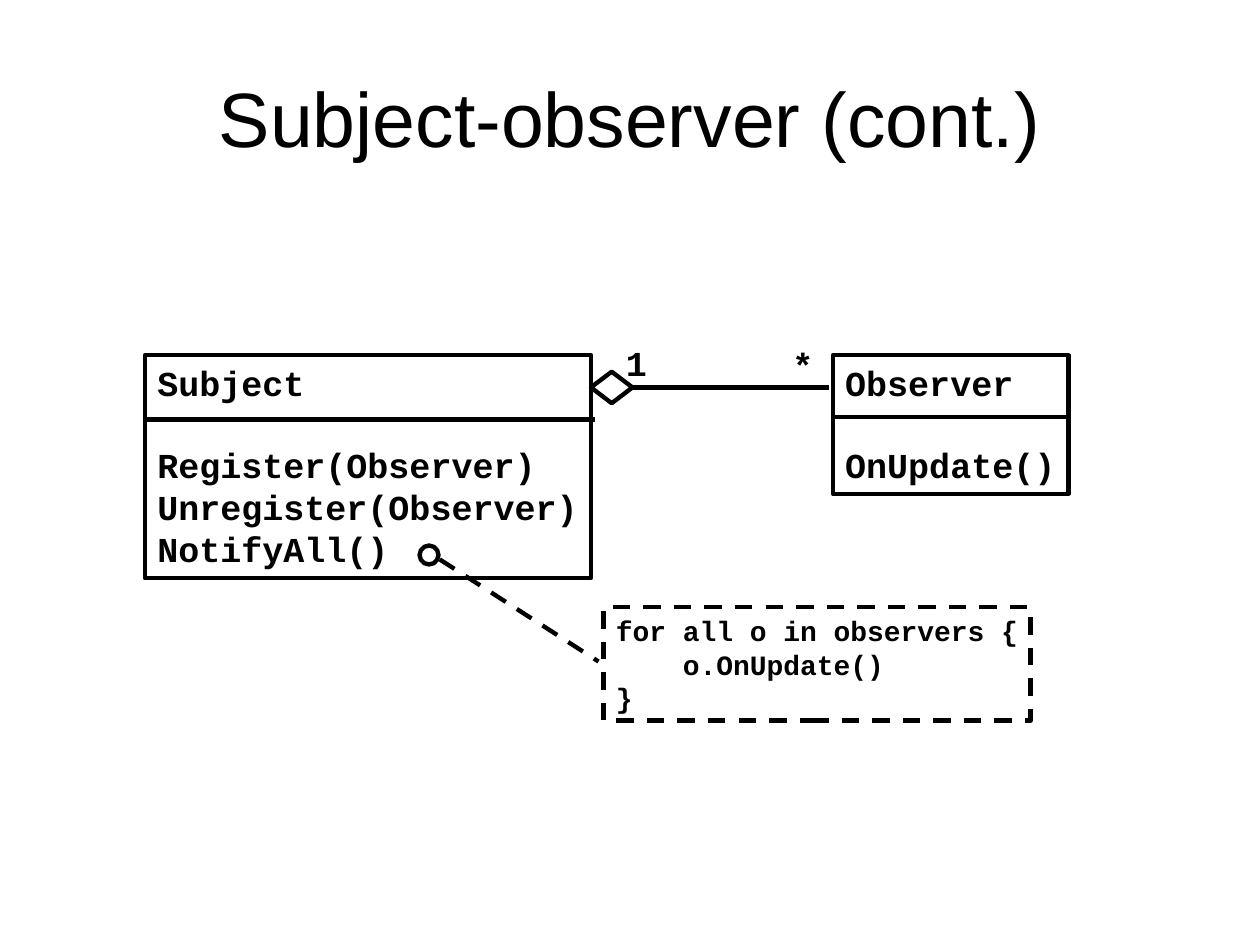
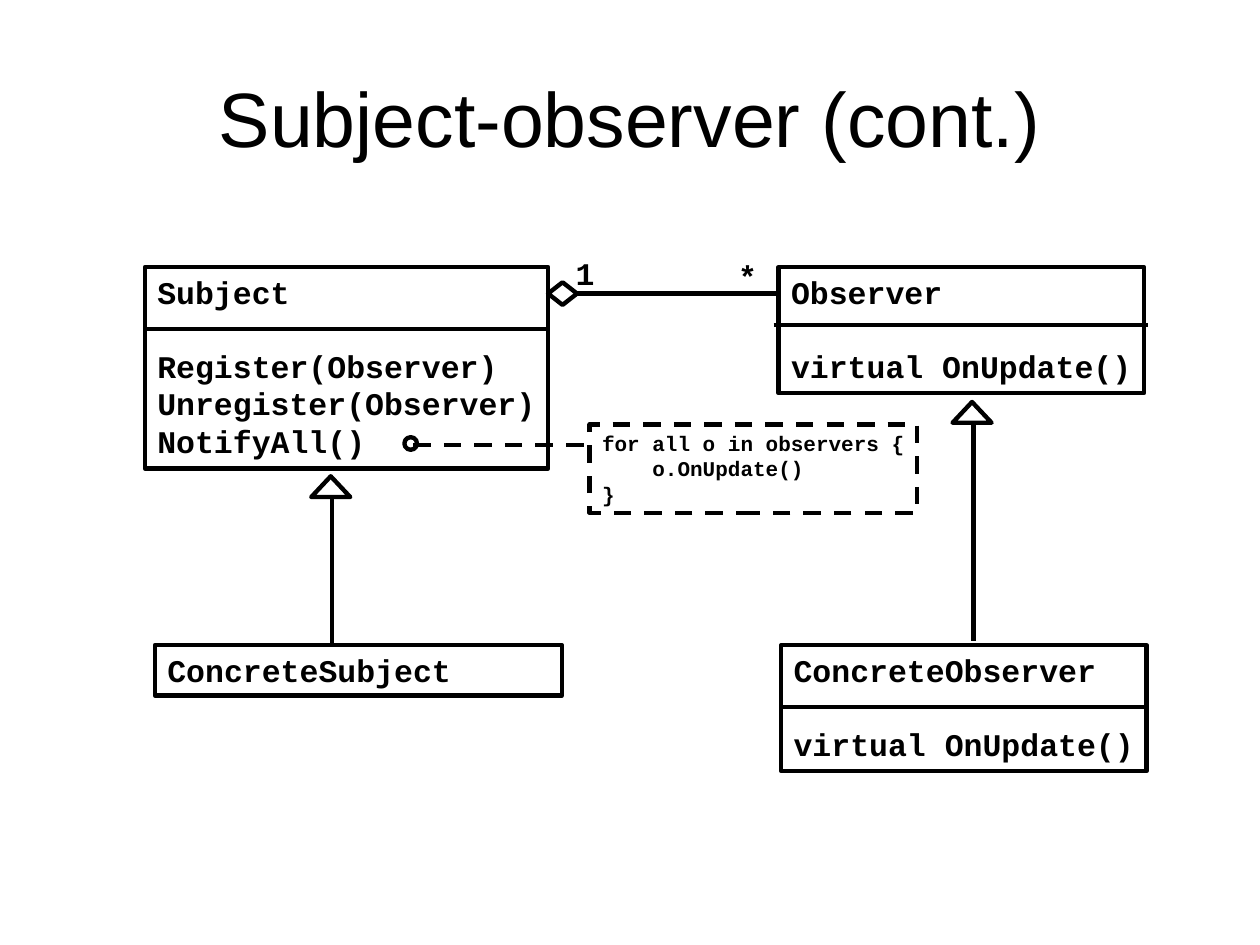
"""Build two UML slides on the subject-observer pattern."""
import pptx
import pptx.dml.color
import pptx.enum.dml
import pptx.enum.shapes
import pptx.enum.text
import pptx.oxml
import pptx.oxml.ns
import pptx.util

Inches = pptx.util.Inches
Pt = pptx.util.Pt
SHAPES = pptx.enum.shapes.MSO_SHAPE
BLACK = pptx.dml.color.RGBColor(0, 0, 0)
WHITE = pptx.dml.color.RGBColor(255, 255, 255)
TITLE_FONT, CODE_FONT = "Arial", "Courier New"
LINE_WIDTH = Pt(2.5)
LINE_HEIGHT = 1.13
TITLE = "Subject-observer (cont.)"
SUBJECT_METHODS = ["Register(Observer)", "Unregister(Observer)", "NotifyAll()"]
NOTE_LINES = ["for all o in observers {", "    o.OnUpdate()", "}"]


def style_line(line, dashed=False):
    """Give a line the diagram's colour, width and dash."""
    line.color.rgb = BLACK
    line.width = LINE_WIDTH
    if dashed:
        line.dash_style = pptx.enum.dml.MSO_LINE.DASH


def style_outline(shape, dashed=False):
    """Leave a shape unfilled and without shadow, with the diagram's line."""
    shape.shadow.inherit = False
    shape.fill.background()
    style_line(shape.line, dashed)


def add_line(slide, start, end, dashed=False):
    """Draw a straight line between two points in inches."""
    connector = slide.shapes.add_connector(
        pptx.enum.shapes.MSO_CONNECTOR.STRAIGHT,
        *(Inches(value) for value in (*start, *end)))
    style_line(connector.line, dashed)
    properties = connector._element.spPr
    properties.append(pptx.oxml.parse_xml(
        f"<a:effectLst {pptx.oxml.ns.nsdecls('a')}/>"))


def add_outline(slide, points):
    """Draw a closed outline through points in inches."""
    corners = [(Inches(x), Inches(y)) for x, y in points]
    builder = slide.shapes.build_freeform(*corners[0])
    builder.add_line_segments(corners[1:], close=True)
    style_outline(builder.convert_to_shape())


def add_preset(slide, kind, box, dashed=False):
    """Draw an outlined preset shape in a box given in inches."""
    shape = slide.shapes.add_shape(kind, *(Inches(value) for value in box))
    style_outline(shape, dashed)
    return shape


def write_code(shape, lines, size):
    """Write bold code lines from the top left of a shape."""
    frame = shape.text_frame
    frame.text = "\n".join(lines)
    frame.word_wrap = True
    frame.vertical_anchor = pptx.enum.text.MSO_ANCHOR.TOP
    frame.margin_left, frame.margin_right = Inches(0.1), 0
    frame.margin_top = frame.margin_bottom = Inches(0.05)
    for paragraph in frame.paragraphs:
        paragraph.alignment = pptx.enum.text.PP_ALIGN.LEFT
        font = paragraph.runs[0].font
        font.name, font.size, font.bold = CODE_FONT, Pt(size), True
        font.color.rgb = BLACK


def add_class(slide, box, size, name, methods=(), divider=None):
    """Draw a class; divider holds its drop and its left and right overhang."""
    shape = add_preset(slide, SHAPES.RECTANGLE, box)
    write_code(shape, [name, *methods], size)
    if methods:
        shape.text_frame.paragraphs[1].space_before = Pt(size * LINE_HEIGHT)
        left, top, width, _ = box
        drop, left_overhang, right_overhang = divider
        add_line(slide, (left - left_overhang, top + drop),
                 (left + width + right_overhang, top + drop))


def add_association(slide, diamond, line_span, labels, size):
    """Draw an aggregation diamond, its line and the multiplicity labels."""
    left, top, width, height = diamond
    middle_x, middle_y = left + width / 2, top + height / 2
    add_outline(slide, [(left, middle_y), (middle_x, top),
                        (left + width, middle_y), (middle_x, top + height)])
    start, end = line_span
    add_line(slide, (start, middle_y), (end, middle_y))
    for text, (x, y) in zip("1*", labels):
        label = slide.shapes.add_textbox(
            Inches(x), Inches(y), Inches(0.36), Inches(size * 0.022))
        write_code(label, [text], size)


def add_note(slide, box, size, circle, link):
    """Draw the dashed code note, its anchor circle and the dashed link."""
    write_code(add_preset(slide, SHAPES.RECTANGLE, box, dashed=True),
               NOTE_LINES, size)
    add_preset(slide, SHAPES.OVAL, circle)
    add_line(slide, *link, dashed=True)


def add_inheritance(slide, left, top, bottom):
    """Draw a hollow triangle with a line down to the derived class."""
    width, height = 0.31, 0.165
    base, middle = top + height, left + width / 2
    add_outline(slide, [(left, base), (middle, top), (left + width, base)])
    add_line(slide, (middle + 0.01, base), (middle + 0.01, bottom))


def add_titled_slide(presentation):
    """Add a white title-only slide with the shared title."""
    slide = presentation.slides.add_slide(presentation.slide_layouts[5])
    slide.background.fill.solid()
    slide.background.fill.fore_color.rgb = WHITE
    title = slide.shapes.title
    title.left, title.top = Inches(0.5), Inches(0.3)
    title.width, title.height = Inches(9), Inches(1.25)
    title.text_frame.text = TITLE
    title.text_frame.vertical_anchor = pptx.enum.text.MSO_ANCHOR.MIDDLE
    paragraph = title.text_frame.paragraphs[0]
    paragraph.alignment = pptx.enum.text.PP_ALIGN.CENTER
    font = paragraph.runs[0].font
    font.name, font.size = TITLE_FONT, Pt(44)
    font.color.rgb = BLACK
    return slide


def build_basic_slide(presentation):
    """Show the subject, the observer and the notification code."""
    slide, size = add_titled_slide(presentation), 20
    add_class(slide, (1.15, 2.82, 3.54, 1.77), size, "Subject",
              SUBJECT_METHODS, (0.51, 0.01, 0.03))
    add_class(slide, (6.61, 2.82, 1.87, 1.1), size, "Observer",
              ["OnUpdate()"], (0.49, 0.01, 0.02))
    add_association(slide, (4.69, 2.95, 0.33, 0.25), (5.01, 6.58),
                    [(4.87, 2.66), (6.19, 2.68)], size)
    add_note(slide, (4.79, 4.82, 3.39, 0.9), 16,
             (3.33, 4.33, 0.15, 0.15), ((3.49, 4.44), (4.75, 5.25)))


def build_inheritance_slide(presentation):
    """Show the concrete classes derived from subject and observer."""
    slide, size = add_titled_slide(presentation), 18
    observer_methods = ["virtual OnUpdate()"]
    add_class(slide, (1.15, 2.12, 3.2, 1.6), size, "Subject",
              SUBJECT_METHODS, (0.49, 0.01, 0.01))
    add_class(slide, (6.18, 2.12, 2.9, 1), size, "Observer",
              observer_methods, (0.46, 0.04, 0.03))
    add_association(slide, (4.35, 2.24, 0.23, 0.18), (4.58, 6.18),
                    [(4.47, 1.97), (5.76, 1.99)], size)
    add_note(slide, (4.68, 3.37, 2.6, 0.7), 12,
             (3.21, 3.47, 0.1, 0.1), ((3.28, 3.53), (4.69, 3.53)))
    add_class(slide, (1.23, 5.12, 3.23, 0.4), size, "ConcreteSubject")
    add_class(slide, (6.2, 5.12, 2.9, 1), size, "ConcreteObserver",
              observer_methods, (0.49, 0.01, 0))
    add_inheritance(slide, 2.47, 3.78, 5.12)
    add_inheritance(slide, 7.56, 3.19, 5.09)


def main():
    """Build and save the presentation."""
    presentation = pptx.Presentation()
    presentation.slide_width = Inches(10)
    presentation.slide_height = Inches(7.5)
    build_basic_slide(presentation)
    build_inheritance_slide(presentation)
    presentation.save("out.pptx")


if __name__ == "__main__":
    main()
